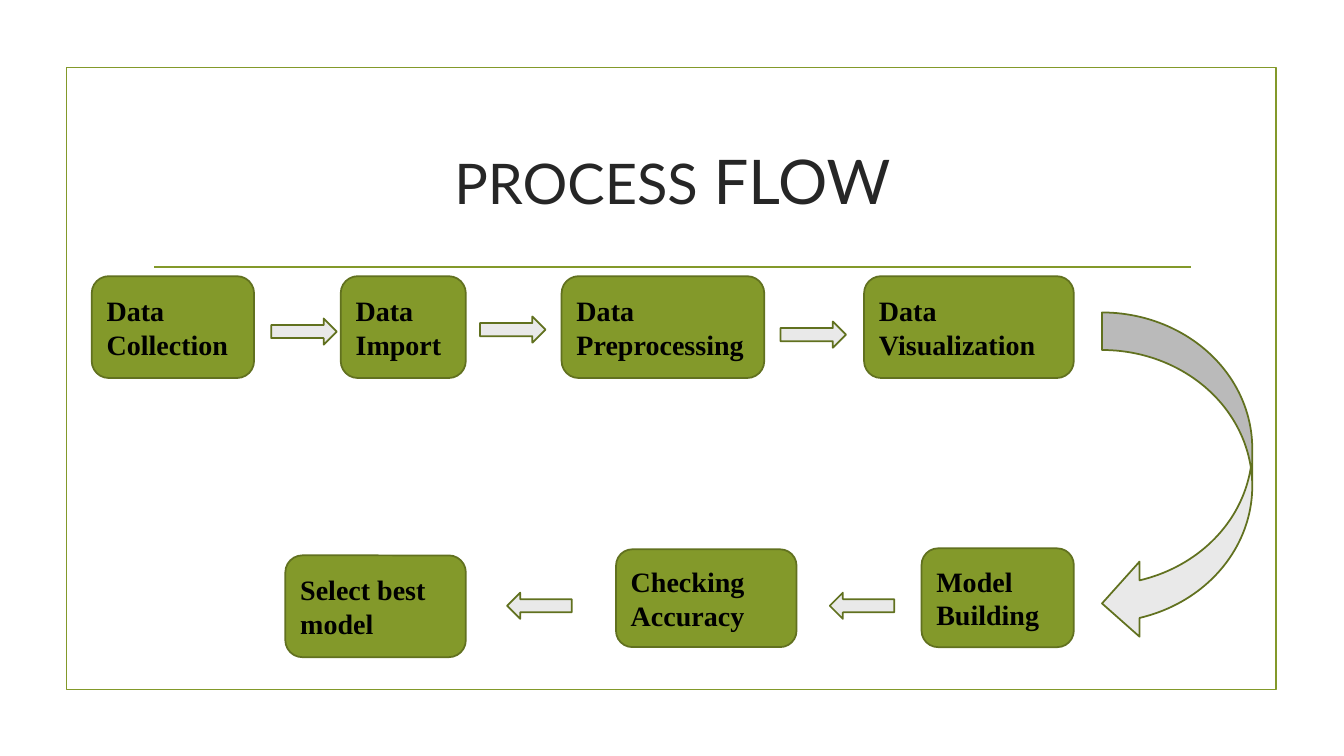
"""Build the process flow slide."""
import dataclasses

import pptx
import pptx.dml.color
import pptx.enum.shapes
import pptx.enum.text
import pptx.oxml.ns
import pptx.util
from lxml import etree

Inches = pptx.util.Inches
Pt = pptx.util.Pt
SHAPES = pptx.enum.shapes.MSO_SHAPE
ALIGN = pptx.enum.text.PP_ALIGN
MIDDLE = pptx.enum.text.MSO_ANCHOR.MIDDLE


@dataclasses.dataclass(frozen=True)
class Theme:
    """Colours, fonts and sizes of the slide."""
    green: str = "83992A"
    outline: str = "61711F"
    arrow: str = "E9E9E9"
    title_ink: str = "262626"
    step_ink: str = "000000"
    title_font: str = "Lato"
    step_font: str = "Times New Roman"
    title_size: int = 40
    title_large: int = 44
    step_size: int = 20
    line_width: float = 1.25


def rgb(value):
    """Turn a hex string into a colour."""
    return pptx.dml.color.RGBColor.from_string(value)


class FlowSlide:
    """Draws the elements of a process flow on one slide."""

    def __init__(self, slide, theme):
        """Keep the slide and its theme."""
        self.shapes = slide.shapes
        self.theme = theme

    def stroke(self, line, colour):
        """Set the colour and width of a line."""
        line.color.rgb = rgb(colour)
        line.width = Pt(self.theme.line_width)

    def block(self, kind, box, fill, outline):
        """Add a preset shape, unfilled when fill is None."""
        shape = self.shapes.add_shape(kind, *map(Inches, box))
        shape.shadow.inherit = False
        if fill:
            shape.fill.solid()
            shape.fill.fore_color.rgb = rgb(fill)
        else:
            shape.fill.background()
        self.stroke(shape.line, outline)
        return shape

    def frame(self, *box):
        """Add the border around the content."""
        self.block(SHAPES.RECTANGLE, box, None, self.theme.green)

    def rule(self, left, right, y):
        """Add a horizontal line."""
        line = self.shapes.add_connector(
            pptx.enum.shapes.MSO_CONNECTOR.STRAIGHT,
            Inches(left), Inches(y), Inches(right), Inches(y))
        self.stroke(line.line, self.theme.green)
        properties = line._element.spPr
        etree.SubElement(properties, pptx.oxml.ns.qn("a:effectLst"))

    def title(self, box, parts):
        """Add the centred title from (text, size) parts."""
        frame = self.shapes.add_textbox(*map(Inches, box)).text_frame
        frame.word_wrap = True
        frame.vertical_anchor = MIDDLE
        paragraph = frame.paragraphs[0]
        paragraph.alignment = ALIGN.CENTER
        paragraph.font.name = self.theme.title_font
        paragraph.font.color.rgb = rgb(self.theme.title_ink)
        for text, size in parts:
            run = paragraph.add_run()
            run.text = text
            run.font.size = Pt(size)

    def step(self, text, *box):
        """Add a rounded box that names one step."""
        shape = self.block(SHAPES.ROUNDED_RECTANGLE, box,
                           self.theme.green, self.theme.outline)
        shape.text_frame.vertical_anchor = MIDDLE
        paragraph = shape.text_frame.paragraphs[0]
        paragraph.text = text
        paragraph.alignment = ALIGN.LEFT
        font = paragraph.font
        font.name = self.theme.step_font
        font.size = Pt(self.theme.step_size)
        font.bold = True
        font.color.rgb = rgb(self.theme.step_ink)

    def arrow(self, kind, *box):
        """Add a block arrow between steps."""
        self.block(kind, box, self.theme.arrow, self.theme.outline)


def main():
    """Draw the slide and save it."""
    deck = pptx.Presentation()
    deck.slide_width, deck.slide_height = Inches(13.33), Inches(7.5)
    theme = Theme()
    flow = FlowSlide(deck.slides.add_slide(deck.slide_layouts[6]), theme)

    flow.frame(0.66, 0.67, 12, 6.17)
    flow.rule(1.53, 11.81, 2.65)
    flow.title((1.42, 1.07, 10.5, 1.43),
               [("PROCESS", theme.title_size), (" FLOW", theme.title_large)])

    preparation = [("Data Collection", 0.91, 1.61), ("Data Import", 3.38, 1.24),
                   ("Data Preprocessing", 5.57, 2.01),
                   ("Data Visualization", 8.57, 2.08)]
    for name, left, width in preparation:
        flow.step(name, left, 2.74, width, 1.01)
    modelling = [("Model Building", 9.14, 5.44, 1.51, 0.98),
                 ("Checking Accuracy", 6.11, 5.45, 1.79, 0.97),
                 ("Select best model", 2.83, 5.51, 1.79, 1.01)]
    for name, *box in modelling:
        flow.step(name, *box)

    for left, top in [(2.69, 3.16), (4.76, 3.14), (7.74, 3.19)]:
        flow.arrow(SHAPES.RIGHT_ARROW, left, top, 0.65, 0.26)
    for left in (8.23, 5.03):
        flow.arrow(SHAPES.LEFT_ARROW, left, 5.88, 0.64, 0.26)
    flow.arrow(SHAPES.CURVED_LEFT_ARROW, 10.93, 3.1, 1.49, 3.26)

    deck.save("out.pptx")


if __name__ == "__main__":
    main()
